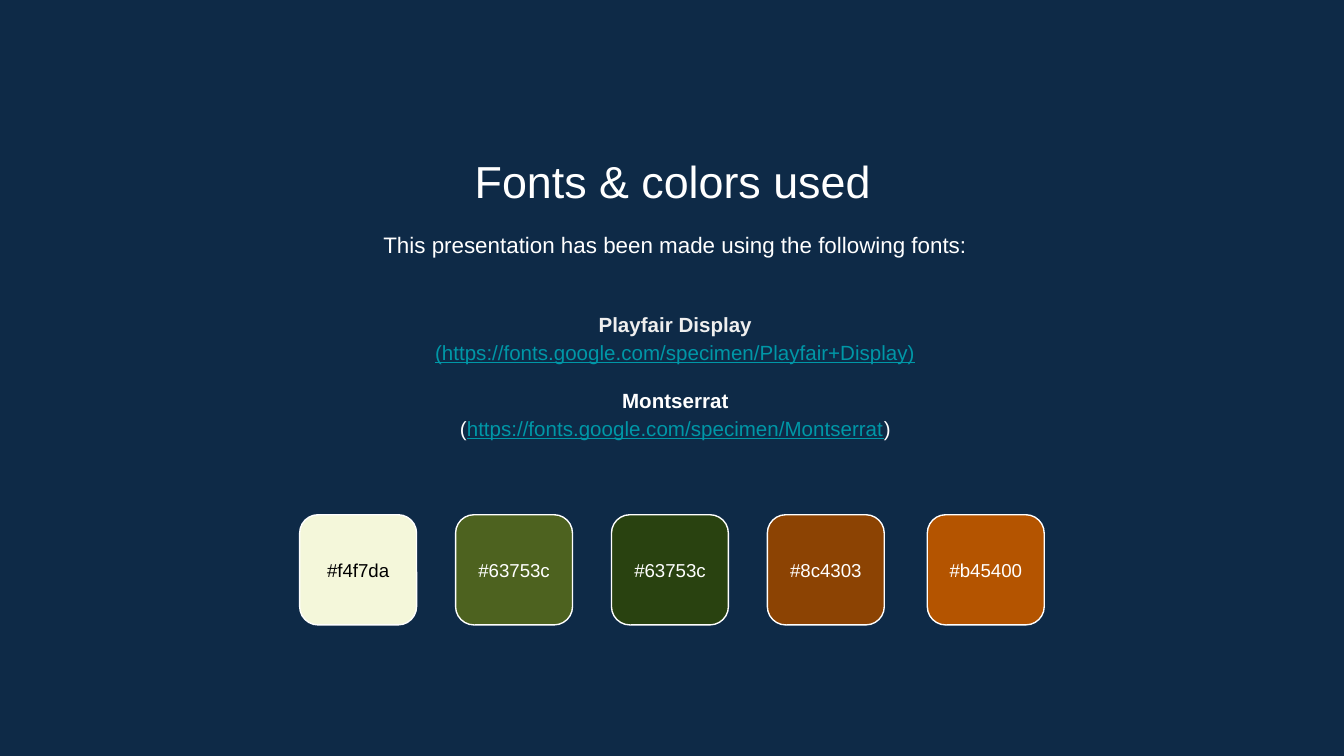
from lxml.etree import SubElement
from pptx import Presentation
from pptx.dml.color import RGBColor
from pptx.enum.shapes import MSO_SHAPE
from pptx.enum.text import MSO_ANCHOR, MSO_AUTO_SIZE, PP_ALIGN
from pptx.oxml.ns import qn
from pptx.util import Inches, Pt

TITLE = "Fonts & colors used"
INTRO = "This presentation has been made using the following fonts:"
FONT_LINES = [
    ([("Playfair Display", "name")], 0),
    ([("(https://fonts.google.com/specimen/Playfair+Display)", "link")], 0),
    ([("Montserrat", "strong")], 10.5),
    ([("(", "plain"),
      ("https://fonts.google.com/specimen/Montserrat", "link"),
      (")", "plain")], 0),
]
SWATCHES = [
    {"label": "#f4f7da", "fill": "F4F7DA", "ink": "dark"},
    {"label": "#63753c", "fill": "7C8C03", "opacity": 58},
    {"label": "#63753c", "fill": "324A00", "opacity": 76},
    {"label": "#8c4303", "fill": "8C4303"},
    {"label": "#b45400", "fill": "B45400", "nudge": 0.03},
]
THEME = {
    "font": "Arial", "background": "0E2A47", "outline": "FFFFFF",
    "title": 24, "intro": 12, "list": 11, "label": 10, "outline_width": 0.75,
    "name": {"color": "EFEFEF", "bold": True},
    "strong": {"color": "FFFFFF", "bold": True},
    "plain": {"color": "FFFFFF"},
    "dark": {"color": "000000"},
    "link": {"color": "0097A7", "underline": True},
}
SWATCH_LEFT, SWATCH_TOP, SWATCH_STEP = 2.23, 3.83, 1.16
SWATCH_WIDTH, SWATCH_HEIGHT = 0.87, 0.82
LABEL_TOP, LABEL_HEIGHT = 4, 0.48


def write(shape, lines, size, spacing=1.0, anchor=MSO_ANCHOR.TOP):
    frame = shape.text_frame
    frame.word_wrap = True
    frame.auto_size = MSO_AUTO_SIZE.NONE
    frame.vertical_anchor = anchor
    frame.margin_left = frame.margin_right = Inches(0.1)
    frame.margin_top = frame.margin_bottom = Inches(0.1)
    for index, (spans, before) in enumerate(lines):
        para = frame.add_paragraph() if index else frame.paragraphs[0]
        para.alignment = PP_ALIGN.CENTER
        para.line_spacing = spacing
        para.space_before = Pt(before)
        properties = para._p.get_or_add_pPr()
        properties.set("marL", "0")
        properties.set("indent", "0")
        SubElement(properties, qn("a:buNone"))
        for text, style_name in spans:
            style = THEME[style_name]
            span = para.add_run()
            span.text = text
            span.font.name = THEME["font"]
            span.font.size = Pt(size)
            span.font.bold = style.get("bold", False)
            span.font.underline = style.get("underline", False)
            span.font.color.rgb = RGBColor.from_string(style["color"])


def place(shape, left, top, width, height):
    shape.left, shape.top = Inches(left), Inches(top)
    shape.width, shape.height = Inches(width), Inches(height)


def add_swatch(page, index, swatch):
    left = Inches(SWATCH_LEFT + index * SWATCH_STEP + swatch.get("nudge", 0))
    width = Inches(SWATCH_WIDTH)
    tile = page.shapes.add_shape(MSO_SHAPE.ROUNDED_RECTANGLE, left,
                                 Inches(SWATCH_TOP), width, Inches(SWATCH_HEIGHT))
    tile.shadow.inherit = False
    tile.fill.solid()
    tile.fill.fore_color.rgb = RGBColor.from_string(swatch["fill"])
    if "opacity" in swatch:
        color = tile._element.spPr.find(qn("a:solidFill")).find(qn("a:srgbClr"))
        SubElement(color, qn("a:alpha"), val=str(swatch["opacity"] * 1000))
    tile.line.color.rgb = RGBColor.from_string(THEME["outline"])
    tile.line.width = Pt(THEME["outline_width"])
    label = page.shapes.add_textbox(left, Inches(LABEL_TOP), width,
                                    Inches(LABEL_HEIGHT))
    write(label, [([(swatch["label"], swatch.get("ink", "plain"))], 0)],
          THEME["label"], anchor=MSO_ANCHOR.MIDDLE)


def main():
    deck = Presentation()
    deck.slide_width = Inches(10)
    deck.slide_height = deck.slide_width * 9 // 16
    page = deck.slides.add_slide(deck.slide_layouts[3])
    page.background.fill.solid()
    page.background.fill.fore_color.rgb = RGBColor.from_string(THEME["background"])

    title, intro, fonts = page.placeholders
    place(title, 1.15, 1.04, 7.71, 0.53)
    place(intro, 1.17, 1.59, 7.71, 0.48)
    place(fonts, 1.17, 2.1, 7.71, 1.37)
    write(title, [([(TITLE, "plain")], 0)], THEME["title"])
    write(intro, [([(INTRO, "plain")], 0)], THEME["intro"], spacing=1.15)
    write(fonts, FONT_LINES, THEME["list"], spacing=1.15, anchor=MSO_ANCHOR.MIDDLE)

    for index, swatch in enumerate(SWATCHES):
        add_swatch(page, index, swatch)
    deck.save("out.pptx")


if __name__ == "__main__":
    main()
